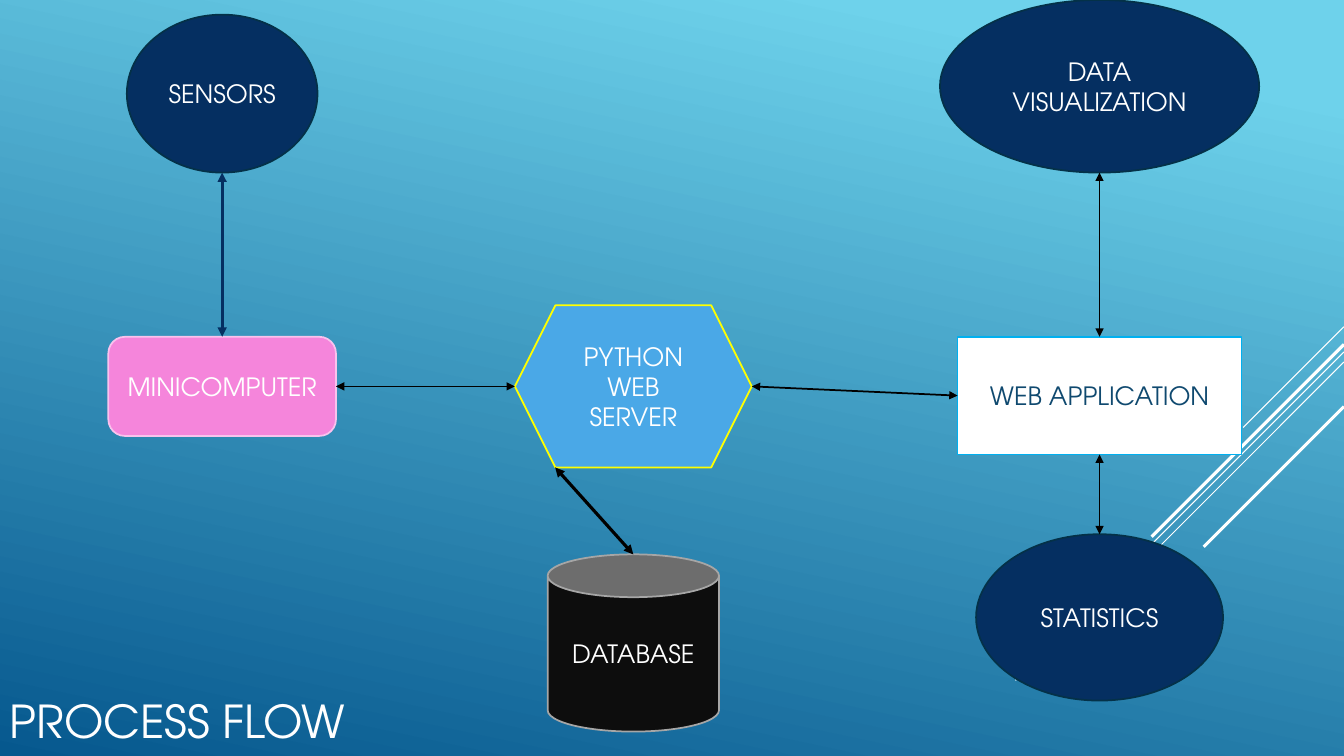
from dataclasses import dataclass

from lxml.etree import SubElement
from pptx import Presentation
from pptx.dml.color import RGBColor
from pptx.enum.shapes import MSO_CONNECTOR as Connector, MSO_SHAPE as Shape
from pptx.enum.text import MSO_ANCHOR as Anchor, PP_ALIGN as Align
from pptx.oxml.ns import qn
from pptx.util import Emu, Pt


@dataclass(frozen=True)
class Theme:
    font: str = "TeX Gyre Adventor"
    title_size: float = 32.4
    label_size: float = 18
    thin: float = 0.75
    medium: float = 1.25
    thick: float = 2.25
    sky: str = "6ED2EB"
    sea: str = "06588E"
    white: str = "FFFFFF"
    black: str = "000000"
    navy: str = "052F61"
    navy_edge: str = "043148"
    pink: str = "F585DB"
    pink_edge: str = "FAC2ED"
    blue: str = "4AA8E7"
    yellow: str = "FFFF00"
    cyan: str = "00B0F0"
    ink: str = "0F496F"
    coal: str = "0D0D0D"
    gray: str = "A6A6A6"


theme = Theme()
rgb = RGBColor.from_string

# The slide is a grid of 160 columns by 90 rows of square cells.
COLUMNS, ROWS, CELL = 160, 90, 76200
LEFT_AXIS, MIDDLE_AXIS, RIGHT_AXIS = 26.45, 75.4, 130.9


def write(shape, text, size=theme.label_size, color=theme.white, align=Align.CENTER):
    frame = shape.text_frame
    frame.word_wrap = True
    frame.vertical_anchor = Anchor.MIDDLE
    frame.text = text
    for paragraph in frame.paragraphs:
        paragraph.alignment = align
        font = paragraph.runs[0].font
        font.name, font.size = theme.font, Pt(size)
        font.color.rgb = rgb(color)


def draw_line(start, end, color, weight, arrows=False):
    """Draw a straight line between two (x, y) points in EMU."""
    line = slide.shapes.add_connector(
        Connector.STRAIGHT, *(Emu(round(value)) for value in (*start, *end)))
    line.line.color.rgb = rgb(color)
    line.line.width = Pt(weight)
    if arrows:
        outline = line.line._get_or_add_ln()
        for tag in ("a:headEnd", "a:tailEnd"):
            SubElement(outline, qn(tag), type="triangle")
    SubElement(line._element.spPr, qn("a:effectLst"))
    return line


presentation = Presentation()
presentation.slide_width = Emu(COLUMNS * CELL)
presentation.slide_height = Emu(ROWS * CELL)
slide = presentation.slides.add_slide(presentation.slide_layouts[6])

# Background
background = slide.background.fill
background.gradient()
background.gradient_angle = 258
for stop, position, color in zip(
        background.gradient_stops, (0.1, 1), (theme.sky, theme.sea)):
    stop.position = position
    stop.color.rgb = rgb(color)

# Diagonal rays from the right edge: start row, span in cells, weight
for row, span, weight in [
    (38.9, 12, theme.thin),
    (41.9, 39.1, theme.thin),
    (43.1, 24.9, theme.thin),
    (41, 22.9, theme.thick),
    (48.4, 16.7, theme.thick),
]:
    draw_line((COLUMNS * CELL, row * CELL),
              ((COLUMNS - span) * CELL, (row + span) * CELL), theme.white, weight)

# Title
title = slide.shapes.add_textbox(0, Emu(round(81.6 * CELL)), Emu(112 * CELL), Emu(round(8.4 * CELL)))
write(title, "PROCESS FLOW", size=theme.title_size, align=Align.LEFT)

# Nodes: text, preset, axis, top, width, height, fill, edge, text colour
nodes = {}
for name, text, preset, axis, top, width, height, fill, edge, color in [
    ("computer", "MINICOMPUTER", Shape.ROUNDED_RECTANGLE, LEFT_AXIS, 40.1, 27.1, 11.8,
     theme.pink, theme.pink_edge, theme.white),
    ("sensors", "SENSORS", Shape.OVAL, LEFT_AXIS, 1.75, 22.7, 18.8,
     theme.navy, theme.navy_edge, theme.white),
    ("server", "PYTHON\nWEB\nSERVER", Shape.HEXAGON, MIDDLE_AXIS, 36.35, 28.2, 19.3,
     theme.blue, theme.yellow, theme.white),
    ("application", "WEB APPLICATION", Shape.RECTANGLE, RIGHT_AXIS, 40.1, 33.8, 14,
     theme.white, theme.cyan, theme.ink),
    ("database", "DATABASE", Shape.CAN, MIDDLE_AXIS, 66, 20.4, 21.1,
     theme.coal, theme.gray, theme.white),
    ("visualization", "DATA VISUALIZATION", Shape.OVAL, RIGHT_AXIS, 0, 38, 20.55,
     theme.navy, theme.navy_edge, theme.white),
    ("statistics", "STATISTICS", Shape.OVAL, RIGHT_AXIS, 63.6, 29.4, 19.8,
     theme.navy, theme.navy_edge, theme.white),
]:
    box = (axis - width / 2, top, width, height)
    node = slide.shapes.add_shape(preset, *(Emu(round(value * CELL)) for value in box))
    node.shadow.inherit = False
    node.fill.solid()
    node.fill.fore_color.rgb = rgb(fill)
    node.line.color.rgb = rgb(edge)
    node.line.width = Pt(theme.medium)
    write(node, text, color=color)
    nodes[name] = node

# Links: the first four anchors are also the connection sites of rectangles
TOP, LEFT, BOTTOM, RIGHT, CORNER = range(5)
ANCHOR_SHARES = [(0.5, 0), (0, 0.5), (0.5, 1), (1, 0.5), (0.17, 1)]
RECTANGLES = ("computer", "application")

for start, end, color, weight in [
    (("sensors", BOTTOM), ("computer", TOP), theme.navy, theme.thick),
    (("computer", RIGHT), ("server", LEFT), theme.black, theme.medium),
    (("server", RIGHT), ("application", LEFT), theme.black, theme.medium),
    (("visualization", BOTTOM), ("application", TOP), theme.black, theme.medium),
    (("application", BOTTOM), ("statistics", TOP), theme.black, theme.medium),
    (("server", CORNER), ("database", TOP), theme.black, theme.thick),
]:
    points = []
    for name, side in (start, end):
        node, (across, down) = nodes[name], ANCHOR_SHARES[side]
        points.append((node.left + across * node.width, node.top + down * node.height))
    link = draw_line(*points, color, weight, arrows=True)
    for (name, side), connect in ((start, link.begin_connect), (end, link.end_connect)):
        if name in RECTANGLES:
            connect(nodes[name], side)

presentation.save("out.pptx")
